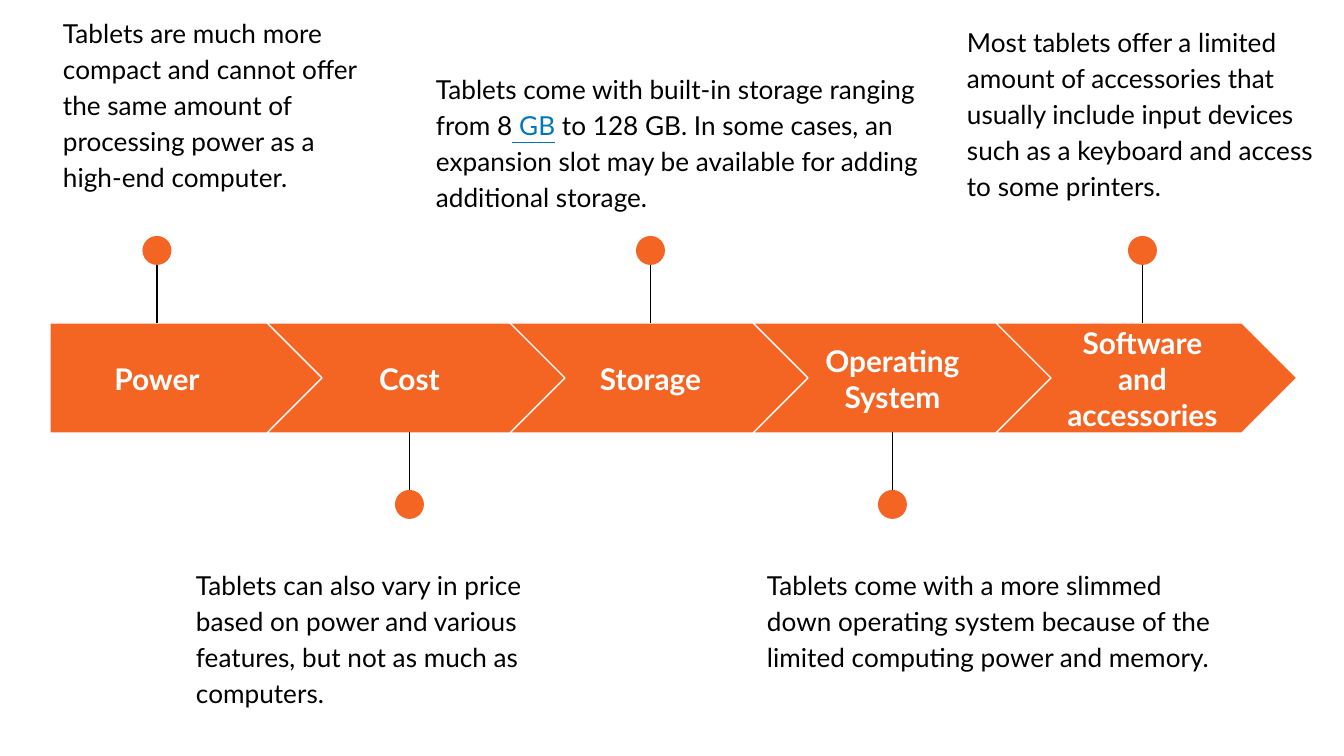
from dataclasses import dataclass

from lxml.etree import SubElement
from pptx import Presentation
from pptx.dml.color import RGBColor
from pptx.enum.shapes import MSO_CONNECTOR, MSO_SHAPE
from pptx.enum.text import MSO_ANCHOR, PP_ALIGN
from pptx.oxml.ns import qn
from pptx.util import Emu, Pt


@dataclass(frozen=True)
class Theme:
    """Colours, font and type sizes."""
    fill: str = "F46524"
    white: str = "FFFFFF"
    ink: str = "000000"
    link: str = "0277BD"
    font: str = "Lato"
    label: int = 16
    note: int = 14
    rule: float = 0.75


THEME = Theme()
WIDE, HIGH = 1344, 756
PAD = 13
DOT = 29
LEFT, TOP, TALL, PITCH = 50, 323, 110, 243
PLATE, CHEVRON = 275, 301

STEPS = [
    ("Power", (50, 214), True, (50, 0, 329, 133), 16,
     [("Tablets are much more compact and cannot offer the same amount of "
       "processing power as a high-end computer.", False)]),
    ("Cost", (313, 193), False, (183, 552, 395, 133), 0,
     [("Tablets can also vary in price based on power and various features, "
       "but not as much as computers.", False)]),
    ("Storage", (554, 193), True, (423, 56, 550, 259), 16,
     [("Tablets come with built-in storage ranging from 8", False),
      (" GB", True),
      (" to 128 GB. In some cases, an expansion slot may be available for "
       "adding additional storage.", False)]),
    ("Operating System", (796, 193), False, (754, 552, 485, 195), 16,
     [("Tablets come with a more slimmed down operating system because of "
       "the limited computing power and memory.", False)]),
    ("Software and accessories", (1046, 193), True, (954, 9, 387, 195), 16,
     [("Most tablets offer a limited amount of accessories that usually "
       "include input devices such as a keyboard and access to some "
       "printers.", False)]),
]


def px(n):
    """Turn pixels into EMU."""
    return Emu(round(n * 9144000 / WIDE))


def tint(code):
    """Turn a hex code into a colour."""
    return RGBColor.from_string(code)


def add_form(slide, kind, box):
    """Add a filled shape without a shadow."""
    form = slide.shapes.add_shape(kind, *map(px, box))
    form.shadow.inherit = False
    form.fill.solid()
    form.fill.fore_color.rgb = tint(THEME.fill)
    return form


def add_text(slide, box, anchor):
    """Add a wrapped text box and return its first paragraph."""
    frame = slide.shapes.add_textbox(*map(px, box)).text_frame
    frame.word_wrap = True
    frame.vertical_anchor = anchor
    frame.margin_left = frame.margin_right = px(PAD)
    frame.margin_top = frame.margin_bottom = px(PAD)
    return frame.paragraphs[0]


def add_run(para, text, size, code, bold=False):
    """Add one styled run."""
    run = para.add_run()
    run.text = text
    run.font.name = THEME.font
    run.font.size = Pt(size)
    run.font.bold = bold
    run.font.color.rgb = tint(code)
    return run


def add_arrow(slide, box, first):
    """Add one arrow of the band."""
    kind = MSO_SHAPE.PENTAGON if first else MSO_SHAPE.CHEVRON
    arrow = add_form(slide, kind, box)
    arrow.adjustments[0] = 0.5
    arrow.line.color.rgb = tint(THEME.white)
    arrow.line.width = Pt(THEME.rule)


def add_label(slide, box, text):
    """Add the centred name of a step."""
    para = add_text(slide, box, MSO_ANCHOR.MIDDLE)
    para.alignment = PP_ALIGN.CENTER
    add_run(para, text, THEME.label, THEME.white, True)


def add_pin(slide, box, above):
    """Add a line with a dot at the end away from the band."""
    left, top, wide, tall = box
    mid = left + wide / 2
    head = top if above else top + tall - DOT
    edge = top + tall if above else top
    line = slide.shapes.add_connector(
        MSO_CONNECTOR.STRAIGHT, px(mid), px(head + DOT / 2), px(mid), px(edge))
    line.line.color.rgb = tint(THEME.ink)
    line.line.width = Pt(THEME.rule)
    SubElement(line._element.spPr, qn("a:effectLst"))
    dot = add_form(slide, MSO_SHAPE.OVAL, (left, head, DOT, DOT))
    dot.line.fill.background()


def add_note(slide, box, parts, after):
    """Add the text that explains a step."""
    para = add_text(slide, box, MSO_ANCHOR.TOP)
    para.line_spacing = 1.15
    para.space_after = Pt(after)
    for text, link in parts:
        run = add_run(para, text, THEME.note, THEME.link if link else THEME.ink)
        run.font.underline = link


def add_step(slide, rank, step):
    """Add one step with its arrow, label, pin and note."""
    name, (left, wide), above, box, after, parts = step
    span = CHEVRON if rank else PLATE
    start = LEFT + PITCH * rank - (CHEVRON - PLATE if rank else 0)
    add_arrow(slide, (start, TOP, span, TALL), rank == 0)
    add_label(slide, (left, TOP + 21, wide, 69), name)
    reach = 87
    top = TOP - reach if above else TOP + TALL - 1
    add_pin(slide, (left + (wide - DOT) / 2, top, DOT, reach), above)
    add_note(slide, box, parts, after)


def main():
    """Build and save the slide."""
    deck = Presentation()
    deck.slide_width, deck.slide_height = px(WIDE), px(HIGH)
    slide = deck.slides.add_slide(deck.slide_layouts[6])
    for rank, step in enumerate(STEPS):
        add_step(slide, rank, step)
    deck.save("out.pptx")


if __name__ == "__main__":
    main()
